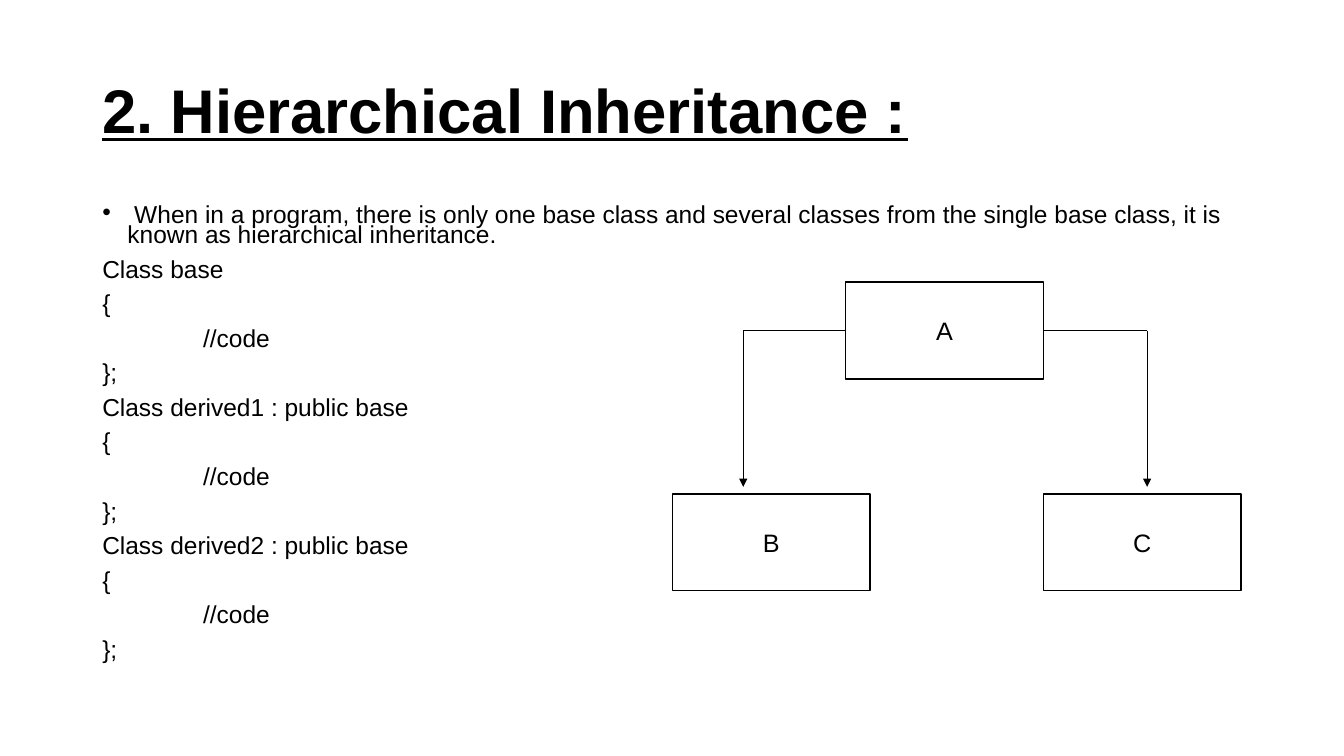
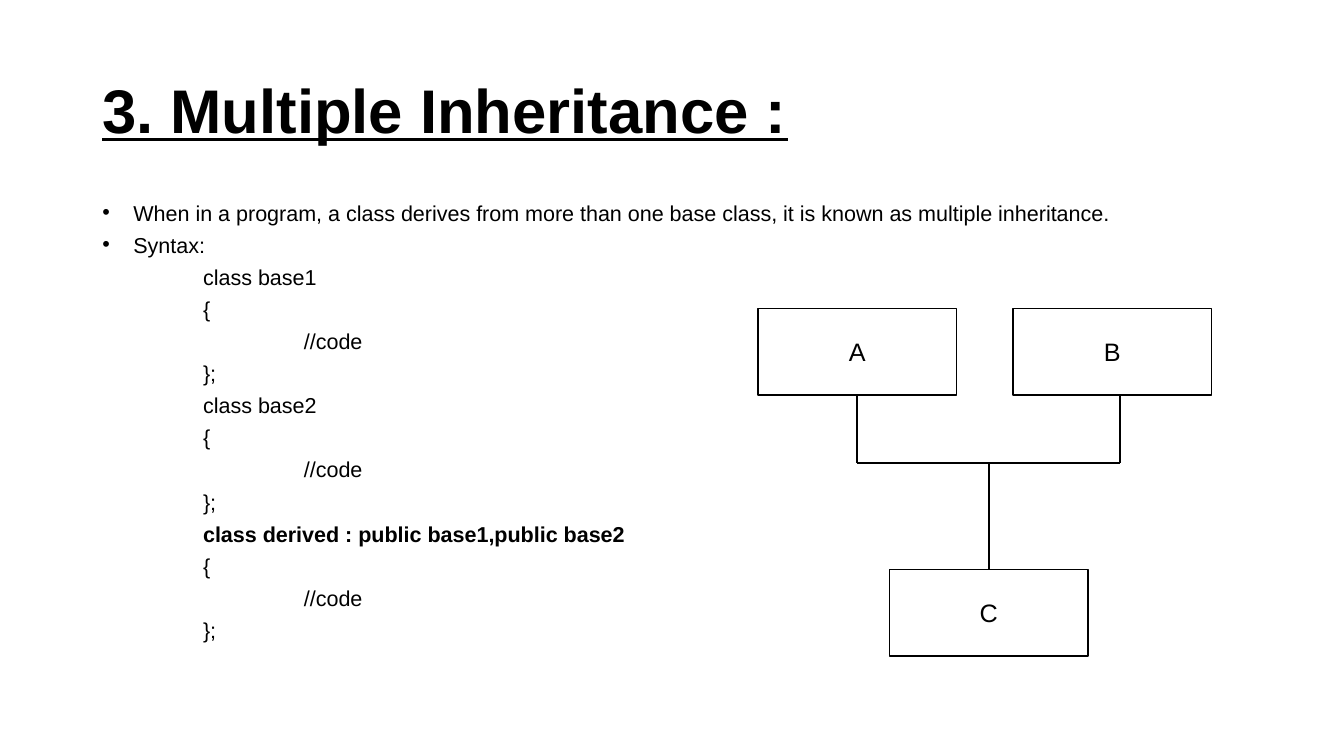
import pptx
import pptx.util
import pptx.dml.color
import pptx.enum.shapes
import pptx.enum.text
import pptx.oxml.ns
import lxml.etree

# Shared look
WIDTH, HEIGHT = 13.33, 7.5
FONT = "Arial"
INK, PAPER = "000000", "FFFFFF"
MARGIN, TEXT_WIDTH = 6.87, 86.25
TITLE_SIZE, LABEL_SIZE = 44, 18
TITLE_LEADING, BODY_LEADING = 0.9, 0.7
BULLET_INDENT, TAB_STEP = 0.25, 1
BULLET, BOLD = "bullet", "bold"

CODE_BODY = ["{", "\t//code", "};"]


def across(share):
    """Length for a percentage of the slide's width."""
    return pptx.util.Inches(WIDTH * share / 100)


def down(share):
    """Length for a percentage of the slide's height."""
    return pptx.util.Inches(HEIGHT * share / 100)


def color(value):
    return pptx.dml.color.RGBColor.from_string(value)


def add_child(parent, tag, **attributes):
    name = pptx.oxml.ns.qn(tag)
    return lxml.etree.SubElement(parent, name, attributes)


def style_span(span, size, bold=False, underline=False):
    span.font.name = FONT
    span.font.size = pptx.util.Pt(size)
    span.font.color.rgb = color(INK)
    span.font.bold = bold
    span.font.underline = underline


def add_text_area(page, top, height):
    box = page.shapes.add_textbox(
        across(MARGIN), down(top), across(TEXT_WIDTH), down(height))
    box.text_frame.word_wrap = True
    return box.text_frame


def add_title(page, text):
    frame = add_text_area(page, 5.33, 19.33)
    frame.vertical_anchor = pptx.enum.text.MSO_ANCHOR.MIDDLE
    frame.text = text
    para = frame.paragraphs[0]
    para.line_spacing = TITLE_LEADING
    style_span(para.runs[0], TITLE_SIZE, bold=True, underline=True)


def set_bullet(para):
    properties = para._p.get_or_add_pPr()
    indent = pptx.util.Inches(BULLET_INDENT)
    properties.set("marL", str(indent))
    properties.set("indent", str(-indent))
    bullet_color = add_child(properties, "a:buClr")
    add_child(bullet_color, "a:srgbClr", val=INK)
    add_child(properties, "a:buFont", typeface=FONT)
    add_child(properties, "a:buChar", char="•")


def set_tabs(para, count):
    tabs = add_child(para._p.get_or_add_pPr(), "a:tabLst")
    for stop in range(1, count + 1):
        position = pptx.util.Inches(stop * TAB_STEP)
        add_child(tabs, "a:tab", pos=str(position), algn="l")


def add_body(page, lines, size):
    """Each line is a text, or a (text, style) pair."""
    frame = add_text_area(page, 26.67, 63.47)
    for index, line in enumerate(lines):
        text, style = line if isinstance(line, tuple) else (line, None)
        para = frame.paragraphs[0] if index == 0 else frame.add_paragraph()
        para.text = text
        para.line_spacing = BODY_LEADING
        para.space_before = pptx.util.Pt(10 if index else 0)
        if style == BULLET:
            set_bullet(para)
        elif "\t" in text:
            set_tabs(para, text.count("\t"))
        for span in para.runs:
            style_span(span, size, bold=style == BOLD)


def add_class_box(page, name, left, top, width, height):
    box = page.shapes.add_shape(
        pptx.enum.shapes.MSO_SHAPE.RECTANGLE,
        across(left), down(top), across(width), down(height))
    box.shadow.inherit = False
    box.fill.solid()
    box.fill.fore_color.rgb = color(PAPER)
    box.line.color.rgb = color(INK)
    box.line.width = pptx.util.Pt(1)
    frame = box.text_frame
    frame.text = name
    frame.vertical_anchor = pptx.enum.text.MSO_ANCHOR.MIDDLE
    para = frame.paragraphs[0]
    para.alignment = pptx.enum.text.PP_ALIGN.CENTER
    style_span(para.runs[0], LABEL_SIZE)


def add_line(page, start, end, weight, arrow=False):
    line = page.shapes.add_connector(
        pptx.enum.shapes.MSO_CONNECTOR.STRAIGHT,
        across(start[0]), down(start[1]), across(end[0]), down(end[1]))
    line.line.color.rgb = color(INK)
    line.line.width = pptx.util.Pt(weight)
    if arrow:
        add_child(line.line._get_or_add_ln(), "a:tailEnd", type="triangle")
    add_child(line._element.spPr, "a:effectLst")


def add_page(deck, title, lines, size):
    page = deck.slides.add_slide(deck.slide_layouts[6])
    add_title(page, title)
    add_body(page, lines, size)
    return page


def draw_hierarchy(page):
    """One base class above two derived classes."""
    width, height = 14.7, 12.8
    base_left, base_top, child_top = 62.93, 37.33, 65.33
    base_right = base_left + width
    add_class_box(page, "A", base_left, base_top, width, height)
    add_class_box(page, "B", 50.03, child_top, width, height)
    add_class_box(page, "C", base_right, child_top, width, height)

    # Elbows from the sides of the base class
    middle = base_top + height / 2
    for edge, drop in ((base_left, 55.3), (base_right, 85.35)):
        add_line(page, (edge, middle), (drop, middle), 0.75)
        add_line(page, (drop, middle), (drop, 64.4), 0.75, arrow=True)


def draw_multiple(page):
    """Two base classes joined above one derived class."""
    width, height = 14.78, 11.47
    base_top, child_top, bus = 40.8, 75.33, 61.2
    first_left = 56.4
    first_drop, second_drop = first_left + width / 2, 83.33
    center = (first_drop + second_drop) / 2
    add_class_box(page, "A", first_left, base_top, width, height)
    add_class_box(page, "B", 75.38, base_top, width, height)
    add_class_box(page, "C", center - width / 2, child_top, width, height)

    # Bus between the base classes and the derived class
    for drop in (first_drop, second_drop):
        add_line(page, (drop, base_top + height), (drop, bus), 1.5)
    add_line(page, (first_drop, bus), (second_drop, bus), 1.5)
    add_line(page, (center, child_top), (center, bus), 1.5)


def main():
    deck = pptx.Presentation()
    deck.slide_width = across(100)
    deck.slide_height = down(100)

    # Hierarchical inheritance
    lines = [(" When in a program, there is only one base class and several "
              "classes from the single base class, it is known as "
              "hierarchical inheritance.", BULLET)]
    for heading in ("Class base", "Class derived1 : public base",
                    "Class derived2 : public base"):
        lines += [heading, *CODE_BODY]
    page = add_page(deck, "2. Hierarchical Inheritance :", lines, 17.5)
    draw_hierarchy(page)

    # Multiple inheritance
    lines = [(" When in a program, a class derives from more than one base "
              "class, it is known as multiple inheritance.", BULLET),
             (" Syntax:", BULLET)]
    for heading in ("\tclass base1", "\tclass base2",
                    ("\tclass derived : public base1,public base2", BOLD)):
        lines += [heading, *("\t" + text for text in CODE_BODY)]
    page = add_page(deck, "3. Multiple Inheritance :", lines, 15.4)
    draw_multiple(page)

    deck.save("out.pptx")


main()
